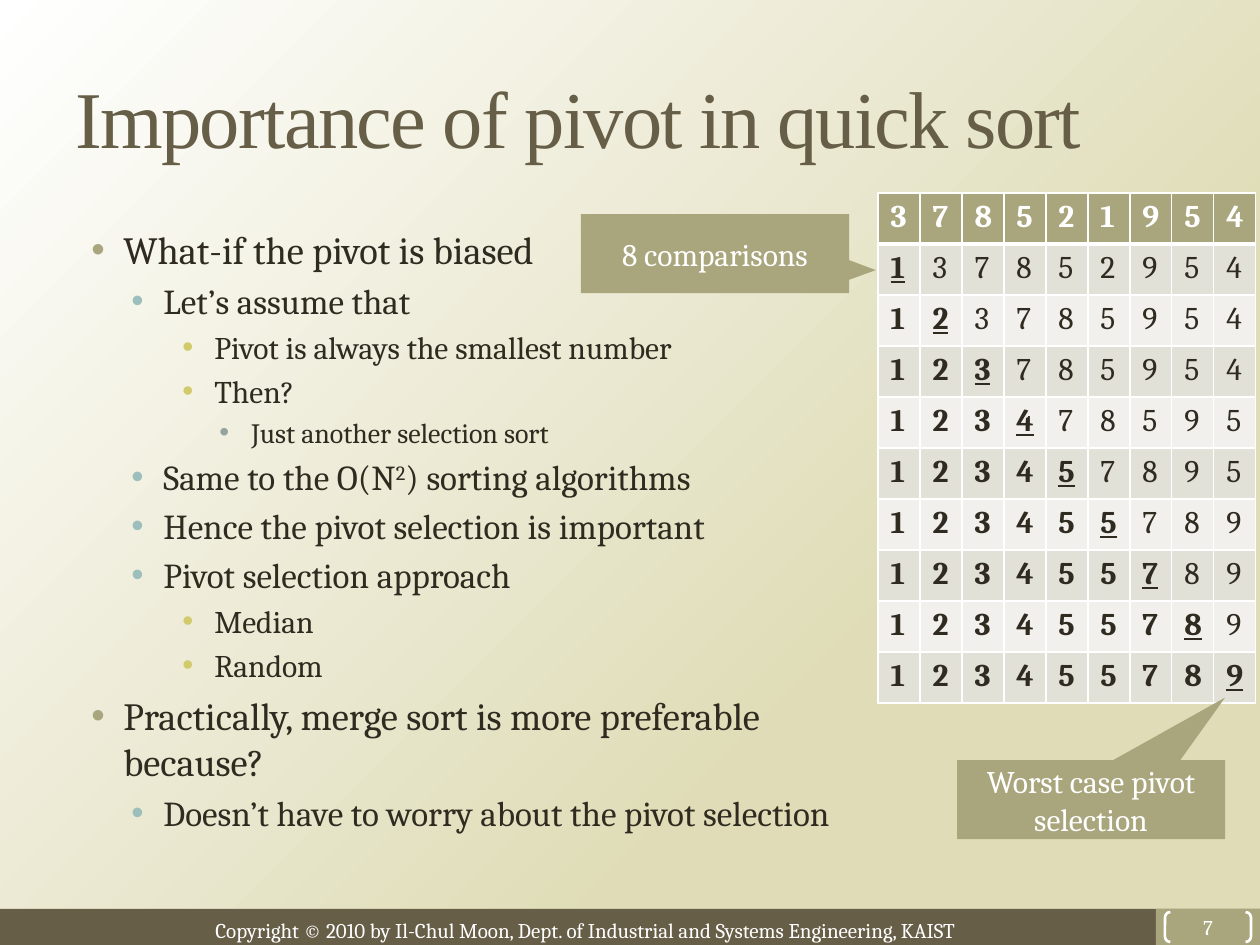
from dataclasses import dataclass
from typing import Any

from lxml.etree import SubElement
from pptx import Presentation
from pptx.dml.color import RGBColor
from pptx.enum.shapes import MSO_SHAPE as Preset
from pptx.enum.text import MSO_ANCHOR as Anchor, MSO_AUTO_SIZE as AutoSize, PP_ALIGN as Align
from pptx.oxml import parse_xml
from pptx.oxml.ns import nsdecls, qn
from pptx.util import Emu, Pt

EMU_PER_PX = 914400 / 126
COLORS = {
    "sand": "DFDCB7", "white": "FFFFFF", "brown": "675E47", "olive": "A9A57C",
    "ink": "2F2B20", "teal": "9CBEBD", "yellow": "D2CB6C", "sage": "95A39D",
    "odd_row": "E2E1D7", "even_row": "F1F0EC",
}
SERIF = "Cambria"


@dataclass(frozen=True)
class Box:
    left: int
    top: int
    width: int
    height: int


@dataclass(frozen=True)
class Level:
    indent: int
    size: int
    bullet: str


@dataclass(frozen=True)
class Block:
    preset: Preset
    box: Box
    fill: str | None = "olive"
    text: str = ""
    size: int = 18
    adjustments: tuple[float, ...] = ()


LEVELS = (
    Level(48, 22, "olive"), Level(88, 20, "teal"),
    Level(139, 18, "yellow"), Level(176, 16, "sage"),
)
OUTLINE = (
    (0, "What-if the pivot is biased"),
    (1, "Let’s assume that"),
    (2, "Pivot is always the smallest number"),
    (2, "Then?"),
    (3, "Just another selection sort"),
    (1, "Same to the O(N^2^) sorting algorithms"),
    (1, "Hence the pivot selection is important"),
    (1, "Pivot selection approach"),
    (2, "Median"),
    (2, "Random"),
    (0, "Practically, merge sort is more preferable because?"),
    (1, "Doesn’t have to worry about the pivot selection"),
)
FOOTER_BLOCKS = (
    Block(Preset.RECTANGLE, Box(-2, 909, 1263, 36), "brown"),
    Block(Preset.RECTANGLE, Box(1156, 909, 105, 36)),
    Block(Preset.DOUBLE_BRACKET, Box(1165, 912, 86, 30), None, "7", 12, (0.18,)),
)
CALLOUTS = (
    Block(Preset.RECTANGULAR_CALLOUT, Box(957, 760, 268, 79),
          text="Worst case pivot selection", adjustments=(0.5, -1.29)),
    Block(Preset.RECTANGULAR_CALLOUT, Box(581, 214, 268, 79),
          text="8 comparisons", adjustments=(0.6, 0.21)),
)


def px(length: int) -> Emu:
    return Emu(round(length * EMU_PER_PX))


def rgb(color: str) -> RGBColor:
    return RGBColor.from_string(COLORS[color])


def place(box: Box) -> tuple[Emu, ...]:
    return px(box.left), px(box.top), px(box.width), px(box.height)


def apply(target: Any, formats: dict[str, Any]) -> None:
    for attribute, value in formats.items():
        setattr(target, attribute, value)


def write(paragraph: Any, text: str, size: int, color: str, **formats: Any) -> Any:
    run = paragraph.add_run()
    run.text = text
    apply(run.font, {"name": SERIF, "size": Pt(size), **formats})
    run.font.color.rgb = rgb(color)
    return run


def paint_background(slide: Any) -> None:
    fill = slide.background.fill
    fill.gradient()
    fill.gradient_angle = 135
    for stop, (position, color) in zip(fill.gradient_stops, ((0.31, "sand"), (1, "white"))):
        stop.position = position
        stop.color.rgb = rgb(color)


def set_title(slide: Any, text: str, box: Box) -> None:
    title = slide.shapes.title
    apply(title, dict(zip(("left", "top", "width", "height"), place(box))))
    apply(title.text_frame, {"vertical_anchor": Anchor.MIDDLE, "word_wrap": True,
                             "auto_size": AutoSize.NONE})
    heading = title.text_frame.paragraphs[0]
    heading.alignment = Align.LEFT
    run = write(heading, text, 46, "brown", name="Times New Roman")
    run.font._element.set("spc", "-100")


def add_block(slide: Any, block: Block) -> None:
    shape = slide.shapes.add_shape(block.preset, *place(block.box))
    shape.shadow.inherit = False
    for index, value in enumerate(block.adjustments):
        shape.adjustments[index] = value
    if block.fill:
        shape.fill.solid()
        shape.fill.fore_color.rgb = rgb(block.fill)
        shape.line.fill.background()
    else:
        shape.fill.background()
        shape.line.color.rgb = rgb("white")
        shape.line.width = Pt(1.5)
        apply(shape.text_frame, dict.fromkeys(
            ("margin_left", "margin_top", "margin_right", "margin_bottom"), 0))
    if block.text:
        apply(shape.text_frame, {"vertical_anchor": Anchor.MIDDLE, "word_wrap": True})
        paragraph = shape.text_frame.paragraphs[0]
        paragraph.alignment = Align.CENTER
        write(paragraph, block.text, block.size, "white")


def format_bullet(paragraph: Any, level: Level) -> None:
    properties = paragraph._p.get_or_add_pPr()
    properties.set("marL", str(px(level.indent)))
    properties.set("indent", str(-px(32)))
    for xml in (
        '<a:spcBef {}><a:spcPct val="20000"/></a:spcBef>',
        f'<a:buClr {{}}><a:srgbClr val="{COLORS[level.bullet]}"/></a:buClr>',
        '<a:buFont {} typeface="Arial"/>',
        '<a:buChar {} char="•"/>',
    ):
        properties.append(parse_xml(xml.format(nsdecls("a"))))


def add_outline(slide: Any, box: Box) -> None:
    frame = slide.shapes.add_textbox(*place(box)).text_frame
    frame.word_wrap = True
    for index, (depth, text) in enumerate(OUTLINE):
        paragraph = frame.add_paragraph() if index else frame.paragraphs[0]
        paragraph.level = depth
        level = LEVELS[depth]
        format_bullet(paragraph, level)
        for part, piece in enumerate(text.split("^")):
            run = write(paragraph, piece, level.size, "ink")
            if part % 2:
                run.font._element.set("baseline", "30000")


def sort_steps(numbers: list[int]) -> list[list[int]]:
    steps = [numbers]
    for done in range(len(numbers)):
        rest = steps[-1][done:]
        pivot = min(rest)
        rest.remove(pivot)
        steps.append(steps[-1][:done] + [pivot] + rest)
    return steps


def set_borders(cell: Any, widths: dict[str, int]) -> None:
    properties = cell._tc.get_or_add_tcPr()
    for index, (side, width) in enumerate(widths.items()):
        border = SubElement(properties, qn(f"a:ln{side}"), w=str(Pt(width)))
        fill = SubElement(border, qn("a:solidFill"))
        SubElement(fill, qn("a:srgbClr"), val=COLORS["white"])
        properties.insert(index, border)


def add_sort_table(slide: Any, box: Box, steps: list[list[int]]) -> None:
    table = slide.shapes.add_table(len(steps), len(steps[0]), *place(box)).table
    for column in table.columns:
        column.width = px(box.width // len(steps[0]))
    for row, step in enumerate(steps):
        table.rows[row].height = px(box.height // len(steps))
        fill = ("even_row", "odd_row")[row % 2] if row else "olive"
        for column, number in enumerate(step):
            cell = table.cell(row, column)
            cell.fill.solid()
            cell.fill.fore_color.rgb = rgb(fill)
            set_borders(cell, {"L": 1, "R": 1, "T": 3 if row == 1 else 1, "B": 1 if row else 3})
            write(cell.text_frame.paragraphs[0], str(number), 18, "ink" if row else "white",
                  bold=row == 0 or column < row, underline=column == row - 1)


def main() -> None:
    """Build the slide on pivot choice in quick sort."""
    deck = Presentation()
    apply(deck, {"slide_width": px(1260), "slide_height": px(945)})
    slide = deck.slides.add_slide(deck.slide_layouts[5])
    paint_background(slide)
    set_title(slide, "Importance of pivot in quick sort", Box(63, 38, 1162, 156))
    for block in FOOTER_BLOCKS:
        add_block(slide, block)
    credit = slide.shapes.add_textbox(*place(Box(203, 911, 808, 38))).text_frame
    credit.word_wrap = False
    write(credit.paragraphs[0], "Copyright © 2010 by Il-Chul Moon, Dept. of Industrial and "
          "Systems Engineering, KAIST", 12, "white")
    add_outline(slide, Box(63, 220, 815, 679))
    add_sort_table(slide, Box(878, 193, 378, 510), sort_steps([3, 7, 8, 5, 2, 1, 9, 5, 4]))
    for callout in CALLOUTS:
        add_block(slide, callout)
    deck.save("out.pptx")


if __name__ == "__main__":
    main()
